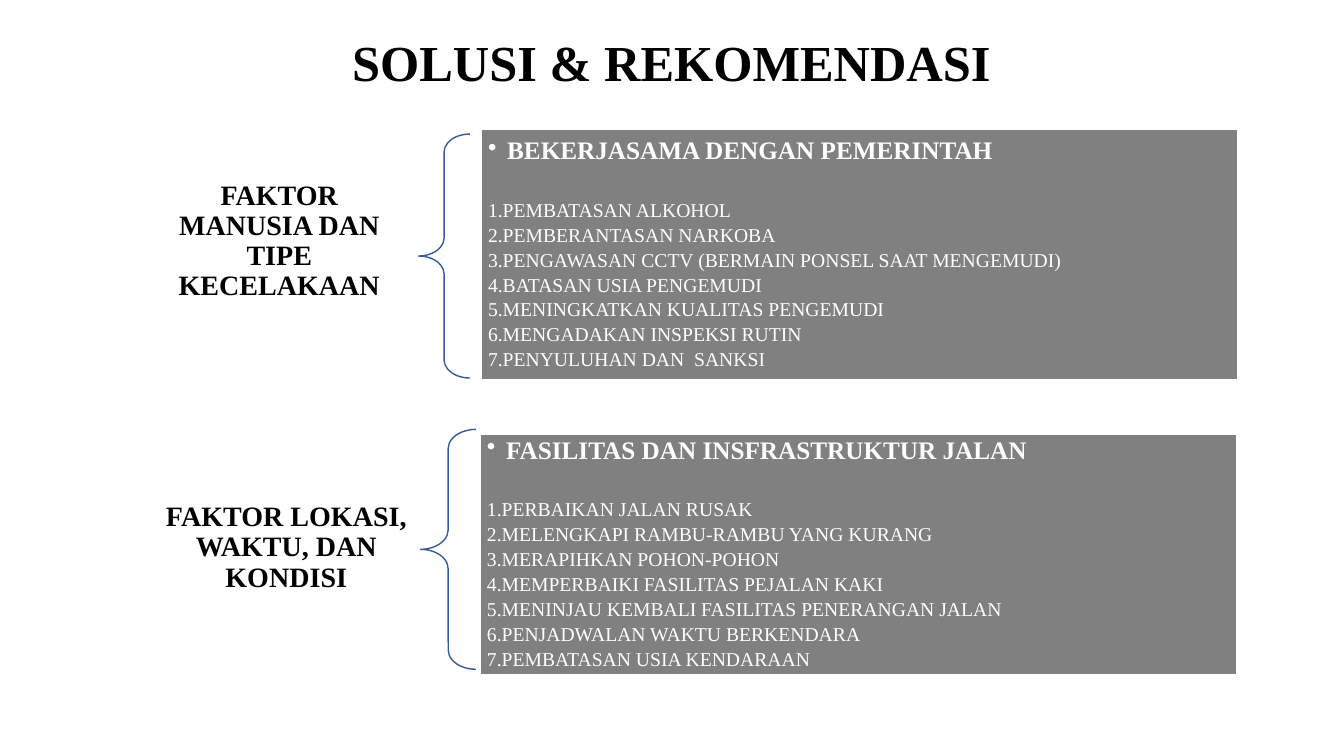
from lxml.etree import SubElement
from pptx import Presentation
from pptx.dml.color import RGBColor
from pptx.enum.shapes import MSO_SHAPE as SHAPE
from pptx.enum.text import MSO_ANCHOR as ANCHOR, PP_ALIGN as ALIGN
from pptx.oxml.ns import qn
from pptx.util import Inches, Pt

TITLE = "SOLUSI & REKOMENDASI"
FACTORS = [
    {
        "label": "FAKTOR MANUSIA DAN TIPE KECELAKAAN",
        "heading": "BEKERJASAMA DENGAN PEMERINTAH",
        "measures": [
            "PEMBATASAN ALKOHOL",
            "PEMBERANTASAN NARKOBA",
            "PENGAWASAN CCTV (BERMAIN PONSEL SAAT MENGEMUDI)",
            "BATASAN USIA PENGEMUDI",
            "MENINGKATKAN KUALITAS PENGEMUDI",
            "MENGADAKAN INSPEKSI RUTIN",
            "PENYULUHAN DAN  SANKSI",
        ],
        "label_box": (1.36, 1.69, 2.82, 1.41),
        "brace_box": (4.15, 1.33, 0.51, 2.42),
        "panel_box": (4.77, 1.28, 7.51, 2.49),
    },
    {
        "label": "FAKTOR LOKASI, WAKTU, DAN KONDISI",
        "heading": "FASILITAS DAN INSFRASTRUKTUR JALAN",
        "measures": [
            "PERBAIKAN JALAN RUSAK",
            "MELENGKAPI RAMBU-RAMBU YANG KURANG",
            "MERAPIHKAN POHON-POHON",
            "MEMPERBAIKI FASILITAS PEJALAN KAKI",
            "MENINJAU KEMBALI FASILITAS PENERANGAN JALAN",
            "PENJADWALAN WAKTU BERKENDARA",
            "PEMBATASAN USIA KENDARAAN",
        ],
        "label_box": (1.46, 4.73, 2.76, 1.41),
        "brace_box": (4.17, 4.26, 0.55, 2.38),
        "panel_box": (4.76, 4.31, 7.51, 2.38),
    },
]
FONT = "Times New Roman"
BLACK = RGBColor(0x00, 0x00, 0x00)
WHITE = RGBColor(0xFF, 0xFF, 0xFF)
GRAY = RGBColor(0x80, 0x80, 0x80)
BLUE = RGBColor(0x36, 0x5B, 0x9D)


def add_shape(slide, kind, box, line_color):
    shape = slide.shapes.add_shape(kind, *map(Inches, box))
    shape.shadow.inherit = False
    shape.line.color.rgb = line_color
    shape.line.width = Pt(1)
    return shape


def set_frame(frame, anchor, side, edge):
    frame.word_wrap = True
    frame.vertical_anchor = anchor
    frame.margin_left = frame.margin_right = Inches(side)
    frame.margin_top = frame.margin_bottom = Inches(edge)


def write(paragraph, text, size, color, bold, align, spacing=0.9):
    paragraph.alignment = align
    paragraph.line_spacing = spacing
    run = paragraph.add_run()
    run.text = text
    run.font.name = FONT
    run.font.size = Pt(size)
    run.font.bold = bold
    run.font.color.rgb = color


def add_bullet(paragraph, indent, tag, **attributes):
    properties = paragraph._p.get_or_add_pPr()
    properties.set("marL", str(Inches(indent)))
    properties.set("indent", str(-Inches(indent)))
    SubElement(properties, qn(tag), attributes)


def add_text_box(slide, box, text, size, anchor, side, edge, spacing):
    frame = slide.shapes.add_textbox(*map(Inches, box)).text_frame
    set_frame(frame, anchor, side, edge)
    write(frame.paragraphs[0], text, size, BLACK, True, ALIGN.CENTER, spacing)


def add_panel(slide, factor):
    panel = add_shape(slide, SHAPE.RECTANGLE, factor["panel_box"], WHITE)
    panel.fill.solid()
    panel.fill.fore_color.rgb = GRAY
    frame = panel.text_frame
    set_frame(frame, ANCHOR.MIDDLE, 0.07, 0.07)
    heading = frame.paragraphs[0]
    write(heading, factor["heading"], 18, WHITE, True, ALIGN.LEFT)
    heading.space_after = Pt(25)
    add_bullet(heading, 0.19, "a:buChar", char="•")
    for measure in factor["measures"]:
        paragraph = frame.add_paragraph()
        write(paragraph, measure, 14, WHITE, False, ALIGN.LEFT)
        paragraph.space_after = Pt(2.7)
        add_bullet(paragraph, 0.12, "a:buAutoNum", type="arabicPeriod")


def main():
    presentation = Presentation()
    presentation.slide_width = Inches(13.33)
    presentation.slide_height = Inches(7.5)
    slide = presentation.slides.add_slide(presentation.slide_layouts[6])
    add_text_box(slide, (3.3, 0.26, 6.72, 0.71), TITLE, 36, ANCHOR.TOP, 0.1, 0.05, 1.0)
    for factor in FACTORS:
        add_text_box(slide, factor["label_box"], factor["label"], 20,
                     ANCHOR.MIDDLE, 0.16, 0.06, 0.9)
        brace = add_shape(slide, SHAPE.LEFT_BRACE, factor["brace_box"], BLUE)
        brace.fill.background()
        brace.adjustments[0] = 0.35
        brace.adjustments[1] = 0.5
        add_panel(slide, factor)
    presentation.save("out.pptx")


if __name__ == "__main__":
    main()
